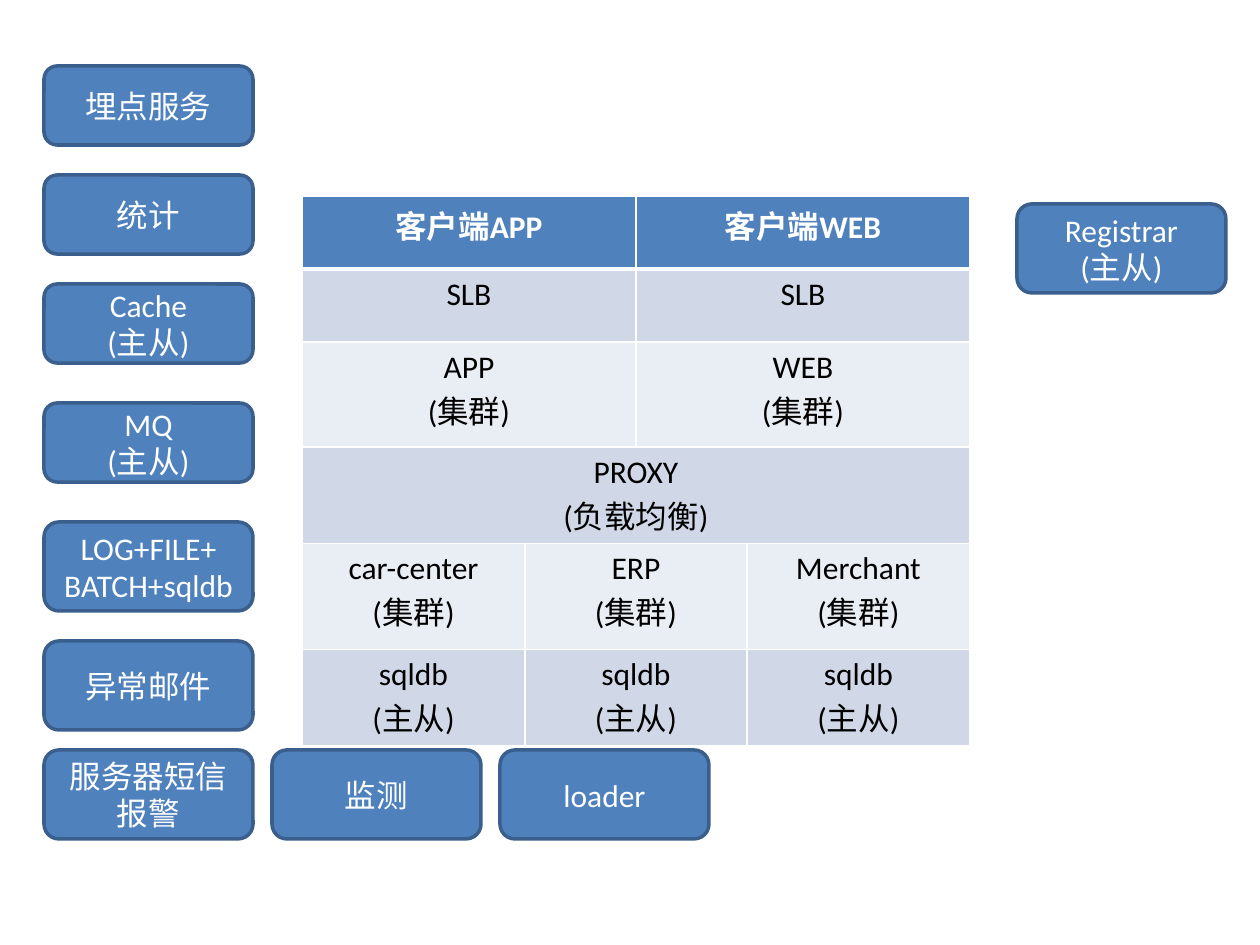
from lxml import etree
from pptx import Presentation
from pptx import util as u
from pptx.dml.color import RGBColor
from pptx.enum import shapes, text
from pptx.oxml import ns

SCALE = 914400 / 126
BLUE = RGBColor(0x4F, 0x81, 0xBD)
EDGE = RGBColor(0x3A, 0x5F, 0x8C)
DARK = RGBColor(0xD0, 0xD8, 0xE8)
PALE = RGBColor(0xE9, 0xED, 0xF4)
WHITE = RGBColor(0xFF, 0xFF, 0xFF)
BLACK = RGBColor(0, 0, 0)


def px(n):
    """Turn pixels into EMU."""
    return u.Emu(round(n * SCALE))


def write(frame, words, color=WHITE, bold=False, size=18, font="Calibri"):
    """Fill a text frame with centred lines, one paragraph each."""
    frame.word_wrap = True
    for i, line in enumerate(words.split("\n")):
        para = frame.add_paragraph() if i else frame.paragraphs[0]
        para.alignment = text.PP_ALIGN.CENTER
        run = para.add_run()
        run.text = line
        run.font.name, run.font.size = font, u.Pt(size)
        run.font.bold, run.font.color.rgb = bold, color


def border(cell, side, width):
    """Draw a white line on one side of a cell."""
    props = cell._tc.get_or_add_tcPr()
    line = etree.SubElement(props, ns.qn("a:ln" + side), w=str(u.Pt(width)))
    fill = etree.SubElement(line, ns.qn("a:solidFill"))
    etree.SubElement(fill, ns.qn("a:srgbClr"), val=str(WHITE))


class Board:
    """Holds the slide and the style of its boxes and table."""

    def __init__(self, slide):
        """Keep the slide to draw on."""
        self.slide = slide

    def box(self, words, x, y, h, w=209):
        """Add a rounded blue box with text."""
        shape = self.slide.shapes.add_shape(
            shapes.MSO_SHAPE.ROUNDED_RECTANGLE, px(x), px(y), px(w), px(h))
        shape.shadow.inherit = False
        shape.fill.solid()
        shape.fill.fore_color.rgb = BLUE
        shape.line.color.rgb = EDGE
        shape.line.width = u.Pt(2)
        shape.text_frame.vertical_anchor = text.MSO_ANCHOR.MIDDLE
        write(shape.text_frame, words)

    def table(self, rows, x, y, cols, tall, h):
        """Add the table; each row is a list of (column, span, words)."""
        frame = self.slide.shapes.add_table(
            len(rows), len(cols), px(x), px(y), px(sum(cols)), px(h))
        grid = frame.table
        for col, w in zip(grid.columns, cols):
            col.width = px(w)
        for r, row in enumerate(rows):
            grid.rows[r].height = px(tall[r])
            head = r == 0
            for c, span, words in row:
                cell = grid.cell(r, c)
                if span > 1:
                    cell.merge(grid.cell(r, c + span - 1))
                write(cell.text_frame, words, bold=head,
                      color=WHITE if head else BLACK)
            for cell in grid.rows[r].cells:
                for side in "LRTB":
                    thick = (r, side) in ((0, "B"), (1, "T"))
                    border(cell, side, 3 if thick else 1)
                cell.fill.solid()
                cell.fill.fore_color.rgb = BLUE if head else DARK if r % 2 else PALE
        frame.height = px(h)


def halves(left, right):
    """Place two cells, two columns each."""
    return [(0, 2, left), (2, 2, right)]


def thirds(left, mid, right):
    """Place three cells, the middle one over two columns."""
    return [(0, 1, left), (1, 2, mid), (3, 1, right)]


def main():
    """Build the slide and save it."""
    deck = Presentation()
    deck.slide_width, deck.slide_height = px(1260), px(945)
    board = Board(deck.slides.add_slide(deck.slide_layouts[6]))

    group, pair = "\n(集群)", "\n(主从)"
    board.table([
        halves("客户端APP", "客户端WEB"),
        halves("SLB", "SLB"),
        halves("APP" + group, "WEB" + group),
        [(0, 4, "PROXY\n(负载均衡)")],
        thirds("car-center" + group, "ERP" + group, "Merchant" + group),
        thirds(*["sqldb" + pair] * 3),
    ], 302, 196, [223, 111, 111, 223], [73, 73, 105, 64, 106, 95], 539)

    left = 44
    for words, y, h in [
        ("埋点服务", 66, 79),
        ("统计", 175, 79),
        ("Cache" + pair, 284, 79),
        ("MQ" + pair, 403, 79),
        ("LOG+FILE+\nBATCH+sqldb", 522, 89),
        ("异常邮件", 641, 89),
    ]:
        board.box(words, left, y, h)
    for i, words in enumerate(["服务器短信报警", "监测", "loader"]):
        board.box(words, left + 228 * i, 750, 89)
    board.box("Registrar" + pair, 1017, 204, 89)
    deck.save("out.pptx")


main()
